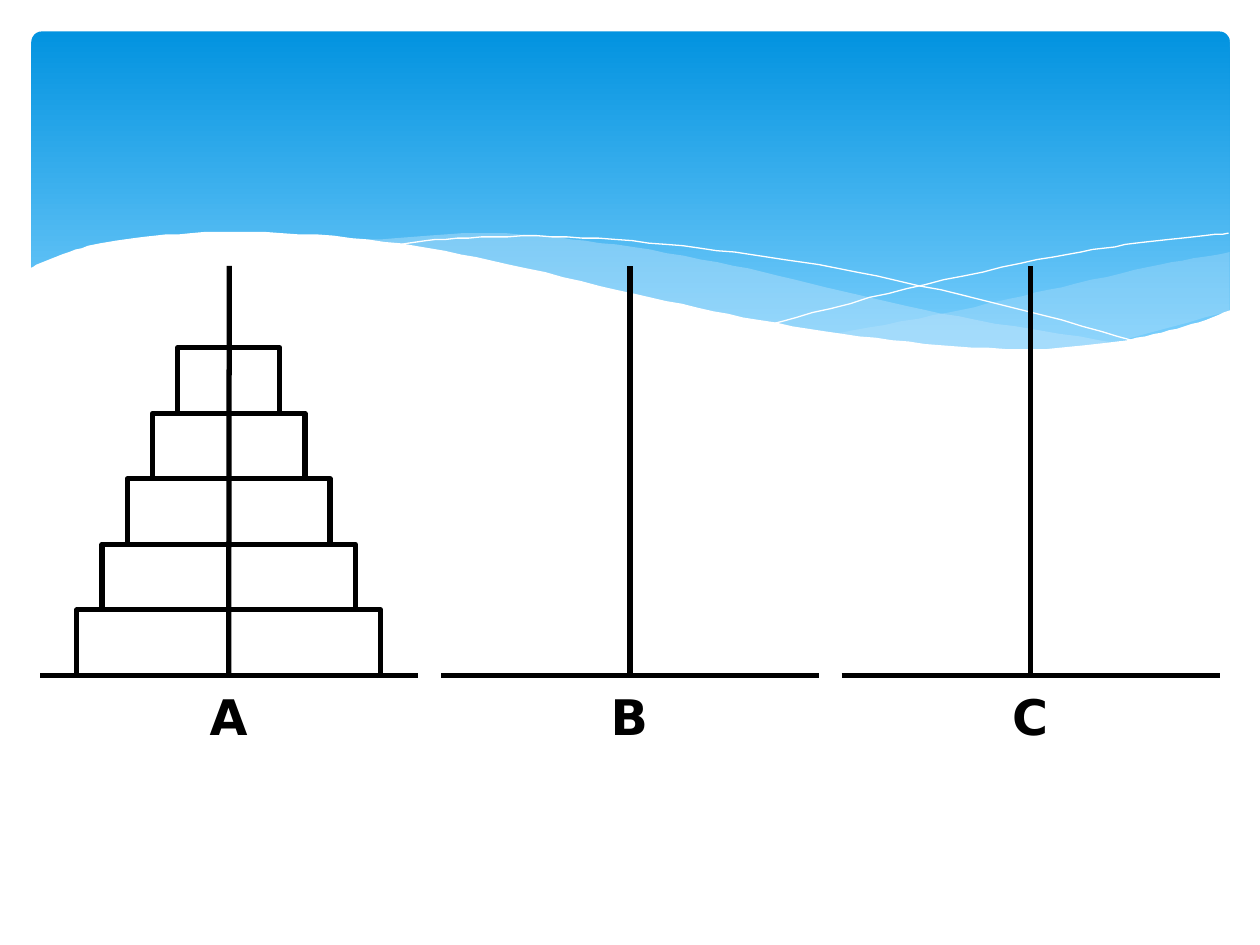
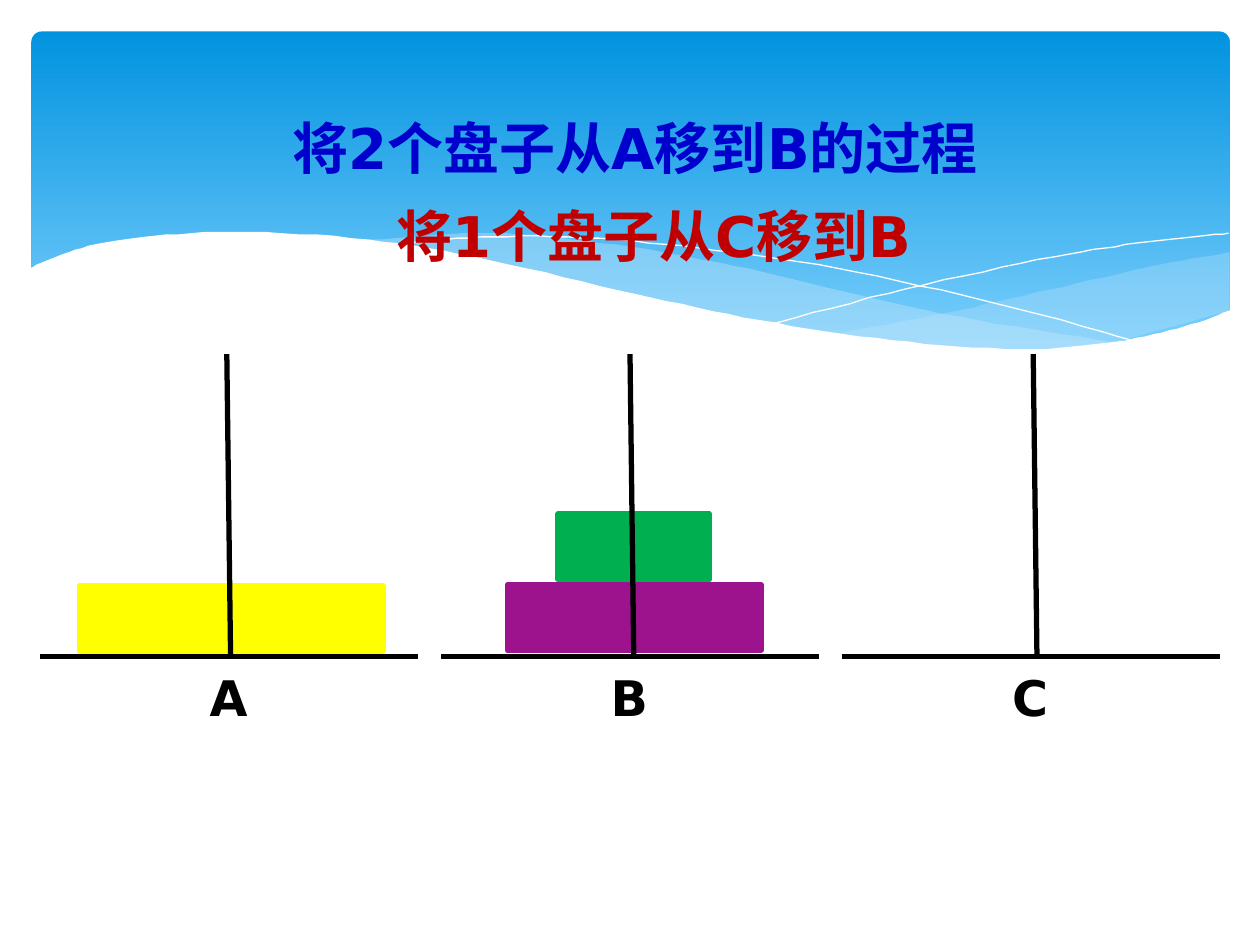
from lxml import etree
from pptx import Presentation
from pptx.dml.color import RGBColor
from pptx.enum import shapes, text
from pptx.oxml import ns
from pptx.util import Inches, Pt

FONT = "DejaVu Sans"
BLACK, WHITE, MIST = "000000", "FFFFFF", "C6E7FC"
SKY_TOP, SKY_BOTTOM = "0293E0", "83D3FE"
PEGS = "ABC"
PEG_STEP = 3.18
DISC_HEIGHT = 0.52
CURVE_STEPS = 8

# Waves: smooth edges through a few knots (hundredths of an inch), fill, opacity
WAVES = [
    ([[(976, 200), (921, 210), (832, 230), (753, 248), (661, 265)],
      [(661, 265), (732, 274), (803, 278), (872, 274), (976, 247)]], MIST, 29),
    ([[(893, 273), (775, 254), (668, 231), (569, 208), (464, 191), (380, 185), (286, 191)],
      [(286, 191), (491, 232), (650, 264), (807, 279), (893, 273)]], MIST, 40),
    ([[(309, 195), (363, 189), (450, 188), (556, 197), (665, 213), (795, 242),
       (907, 272)]], None, 100),
    ([[(613, 257), (720, 229), (836, 204), (910, 192), (975, 185)]], None, 100),
    ([[(977, 246), (940, 259), (887, 271), (809, 277), (708, 270), (603, 254), (503, 233),
       (391, 207), (292, 190), (185, 184), (106, 189), (60, 198), (23, 213)],
      [(23, 329), (977, 329)]], WHITE, 100),
]

# Discs: left, top, width, fill
TOWER = [(0.61 + 0.2 * level, 4.84 - DISC_HEIGHT * level, 2.41 - 0.4 * level, None)
         for level in range(5)]
MOVED = [(0.63, 4.65, 2.41, "FFFF00"), (4.03, 4.64, 2.01, "9D138D"),
         (4.43, 4.08, 1.2, "00B050")]

# Scenes: discs, base height, rod top, first rod, rod step, lean of the rods
SCENES = [(TOWER, 5.36, 2.11, 1.82, PEG_STEP, 0), (MOVED, 5.21, 2.81, 1.8, 3.2, 0.03)]


def color(hex_code):
    return RGBColor.from_string(hex_code)


def write(box, place, words, size, hex_code, top_inset=0.05):
    box.left, box.top, box.width, box.height = map(Inches, place)
    frame = box.text_frame
    frame.word_wrap = True
    frame.auto_size = text.MSO_AUTO_SIZE.NONE
    frame.vertical_anchor = text.MSO_ANCHOR.TOP
    frame.margin_top = Inches(top_inset)
    para = frame.paragraphs[0]
    para.alignment = text.PP_ALIGN.CENTER
    para.line_spacing = Pt(24)
    span = para.add_run()
    span.text = words
    span.font.name, span.font.size, span.font.bold = FONT, Pt(size), True
    span.font.color.rgb = color(hex_code)


deck = Presentation()
deck.slide_width, deck.slide_height = Inches(10), Inches(7.5)
BLANK, TITLE_ONLY = deck.slide_layouts[6], deck.slide_layouts[5]

for layout, scene in zip((BLANK, TITLE_ONLY), SCENES):
    discs, base_y, rod_top, first_rod, rod_step, lean = scene
    page = deck.slides.add_slide(layout)

    # Blue band
    band = page.shapes.add_shape(shapes.MSO_SHAPE.ROUNDED_RECTANGLE, Inches(0.25),
                                 Inches(0.25), Inches(9.51), Inches(2.7))
    band.adjustments[0] = 0.03
    band.shadow.inherit = False
    band.line.fill.background()
    band.fill.gradient()
    band.fill.gradient_angle = 270
    for stop, shade in zip(band.fill.gradient_stops, (SKY_TOP, SKY_BOTTOM)):
        stop.color.rgb = color(shade)

    # Waves, as Catmull-Rom curves through the knots
    for edges, fill, opacity in WAVES:
        points = []
        for knots in edges:
            padded = [knots[0], *knots, knots[-1]]
            for before, start, end, after in zip(padded, padded[1:], padded[2:], padded[3:]):
                for step in range(CURVE_STEPS):
                    t = step / CURVE_STEPS
                    points.append([
                        b + t / 2 * (c - a + t * (2 * a - 5 * b + 4 * c - d
                                                  + t * (3 * b - a - 3 * c + d)))
                        for a, b, c, d in zip(before, start, end, after)])
            points.append(knots[-1])
        outline = page.shapes.build_freeform(*points[0], scale=Inches(0.01))
        outline.add_line_segments(points[1:], close=fill is not None)
        wave = outline.convert_to_shape()
        wave.shadow.inherit = False
        if fill:
            wave.line.fill.background()
            wave.fill.solid()
            wave.fill.fore_color.rgb = color(fill)
        else:
            wave.fill.background()
            wave.line.color.rgb = color(WHITE)
            wave.line.width = 0
        if opacity < 100:
            tint = wave.element.spPr.find(".//" + ns.qn("a:srgbClr"))
            etree.SubElement(tint, ns.qn("a:alpha"), val=str(opacity * 1000))

    # Discs
    boxes = []
    for left, top, width, fill in discs:
        disc = page.shapes.add_shape(shapes.MSO_SHAPE.FLOWCHART_PROCESS, Inches(left),
                                     Inches(top), Inches(width), Inches(DISC_HEIGHT))
        disc.shadow.inherit = False
        disc.line.color.rgb = color(fill or BLACK)
        disc.line.width = Pt(3)
        if fill:
            disc.fill.solid()
            disc.fill.fore_color.rgb = color(fill)
        else:
            disc.fill.background()
        boxes.append(disc)

    # Bases, rods and peg names
    for index, peg in enumerate(PEGS):
        middle = 1.82 + PEG_STEP * index
        rod_x = first_rod + rod_step * index
        base = (middle - 1.5, base_y, middle + 1.5, base_y)
        rod = (rod_x + lean, base_y, rod_x, rod_top)
        for ends in (base, rod):
            line = page.shapes.add_connector(shapes.MSO_CONNECTOR.STRAIGHT,
                                             *map(Inches, ends))
            line.line.color.rgb = color(BLACK)
            line.line.width = Pt(3)
            etree.SubElement(line.element.spPr, ns.qn("a:effectLst"))
        if peg == "A" and discs is TOWER:
            line.begin_connect(boxes[0], 2)
        write(page.shapes.add_textbox(0, 0, 0, 0),
              (middle - 0.39, base_y + 0.17, 0.77, 0.49), peg, 28, BLACK)

# Headings of the second slide, with the title in front of the band
title = page.shapes.title
title.element.getparent().append(title.element)
write(title, (1.72, 0.86, 6.64, 0.7), "将2个盘子从A移到B的过程", 32, "0000CC", 0.24)
write(page.shapes.add_textbox(0, 0, 0, 0), (2.73, 1.56, 4.92, 0.7),
      "将1个盘子从C移到B", 32, "C00000", 0.24)

deck.save("out.pptx")
